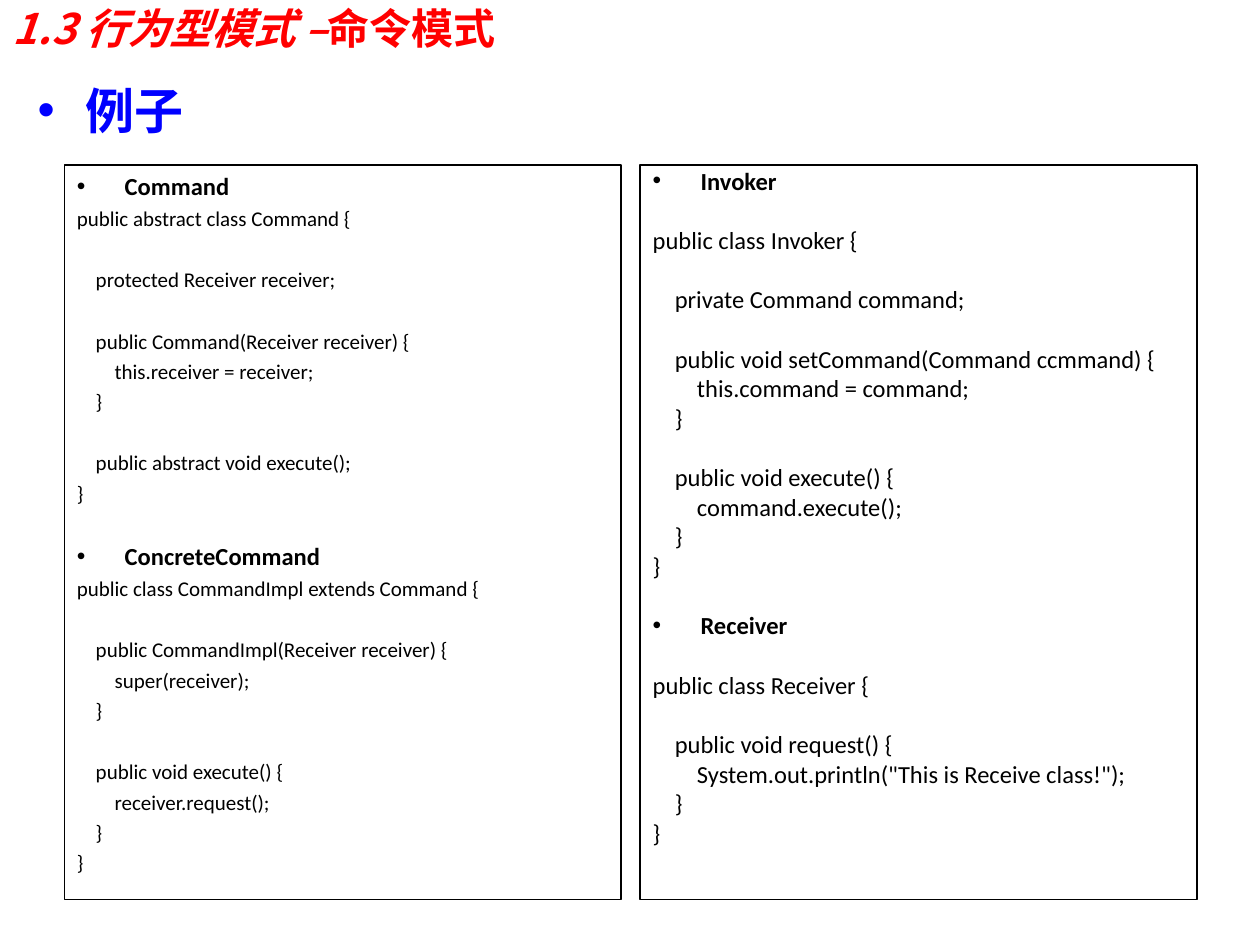
"""Build the command pattern example slide with its two code panels."""
import collections

import pptx
import pptx.dml.color
import pptx.enum.text
import pptx.oxml.ns
import pptx.util
from lxml import etree
from pptx.util import Inches

CJK_FONT = "Noto Sans CJK SC"
INDENT = Inches(0.38)
HEADING_SIZE = 14

Panel = collections.namedtuple("Panel", "left code_size line_spacing paragraph_gap line_pitch sections")


def format_run(run, size, color, bold=False, italic=False, name="Calibri"):
    """Set the font of a run, with one face for its Chinese text."""
    run.font.size = pptx.util.Pt(size)
    run.font.bold = bold
    run.font.italic = italic
    run.font.color.rgb = pptx.dml.color.RGBColor.from_string(color)
    run.font.name = name
    east_asian = etree.SubElement(run.font._element, pptx.oxml.ns.qn("a:ea"))
    east_asian.set("typeface", CJK_FONT)


def set_bullet(paragraph, color=None):
    """Give a paragraph a hanging indent, and a bullet if a colour is given."""
    properties = paragraph._p.get_or_add_pPr()
    properties.set("marL", str(INDENT))
    properties.set("indent", str(-INDENT))
    if color is None:
        etree.SubElement(properties, pptx.oxml.ns.qn("a:buNone"))
        return
    bullet_color = etree.SubElement(properties, pptx.oxml.ns.qn("a:buClr"))
    etree.SubElement(bullet_color, pptx.oxml.ns.qn("a:srgbClr")).set("val", color)
    etree.SubElement(properties, pptx.oxml.ns.qn("a:buFont")).set("typeface", "Arial")
    etree.SubElement(properties, pptx.oxml.ns.qn("a:buChar")).set("char", "•")


COMMAND_CODE = """public abstract class Command {

    protected Receiver receiver;

    public Command(Receiver receiver) {
        this.receiver = receiver;
    }

    public abstract void execute();
}"""

CONCRETE_COMMAND_CODE = """public class CommandImpl extends Command {

    public CommandImpl(Receiver receiver) {
        super(receiver);
    }

    public void execute() {
        receiver.request();
    }
}"""

INVOKER_CODE = """
public class Invoker {

    private Command command;

    public void setCommand(Command ccmmand) {
        this.command = command;
    }

    public void execute() {
        command.execute();
    }
}"""

RECEIVER_CODE = """
public class Receiver {

    public void request() {
        System.out.println("This is Receive class!");
    }
}"""

presentation = pptx.Presentation()
presentation.slide_width = Inches(10)
presentation.slide_height = Inches(7.5)
slide = presentation.slides.add_slide(presentation.slide_layouts.get_by_name("Two Content"))

title = slide.shapes.title
title.left, title.top, title.width, title.height = Inches(0), Inches(0), Inches(9), Inches(0.44)
title.text_frame.auto_size = pptx.enum.text.MSO_AUTO_SIZE.NONE
title.text_frame.vertical_anchor = pptx.enum.text.MSO_ANCHOR.MIDDLE
paragraph = title.text_frame.paragraphs[0]
paragraph.alignment = pptx.enum.text.PP_ALIGN.LEFT
for text, italic, name in (("1.3 行为型模式 –", True, CJK_FONT), ("命令模式", False, "Calibri")):
    run = paragraph.add_run()
    run.text = text
    format_run(run, 24, "FF0000", bold=True, italic=italic, name=name)

example_box = slide.shapes.add_textbox(Inches(0.2), Inches(0.68), Inches(3.54), Inches(1.04))
example_box.text_frame.word_wrap = True
paragraph = example_box.text_frame.paragraphs[0]
paragraph.text = "例子"
set_bullet(paragraph, "0000FF")
paragraph.line_spacing = 0.8
format_run(paragraph.runs[0], 28, "0000FF", bold=True)

panels = (
    Panel(
        left=0.51, code_size=12, line_spacing=1.0, paragraph_gap=2.95, line_pitch=17.55,
        sections=(("Command", COMMAND_CODE), ("ConcreteCommand", CONCRETE_COMMAND_CODE)),
    ),
    Panel(
        left=5.08, code_size=14, line_spacing=0.8, paragraph_gap=3.45, line_pitch=17.05,
        sections=(("Invoker", INVOKER_CODE), ("Receiver", RECEIVER_CODE)),
    ),
)
for placeholder_index, panel in enumerate(panels, start=1):
    body = slide.placeholders[placeholder_index]
    body.left, body.top = Inches(panel.left), Inches(1.31)
    body.width, body.height = Inches(4.42), Inches(5.83)
    body.line.color.rgb = pptx.dml.color.RGBColor.from_string("000000")
    body.line.width = pptx.util.Pt(0.75)
    text_frame = body.text_frame
    text_frame.auto_size = pptx.enum.text.MSO_AUTO_SIZE.NONE
    paragraph = text_frame.paragraphs[0]
    space_before = 0
    for heading, code in panel.sections:
        for line_number, line in enumerate([heading] + code.split("\n")):
            if not line:
                space_before += panel.line_pitch
                continue
            if paragraph.text:
                paragraph = text_frame.add_paragraph()
            is_heading = line_number == 0
            paragraph.text = line
            set_bullet(paragraph, "000000" if is_heading else None)
            paragraph.line_spacing = panel.line_spacing
            paragraph.space_before = pptx.util.Pt(space_before)
            size = HEADING_SIZE if is_heading else panel.code_size
            format_run(paragraph.runs[0], size, "000000", bold=is_heading)
            space_before = panel.paragraph_gap
        space_before += panel.line_pitch

presentation.save("out.pptx")
